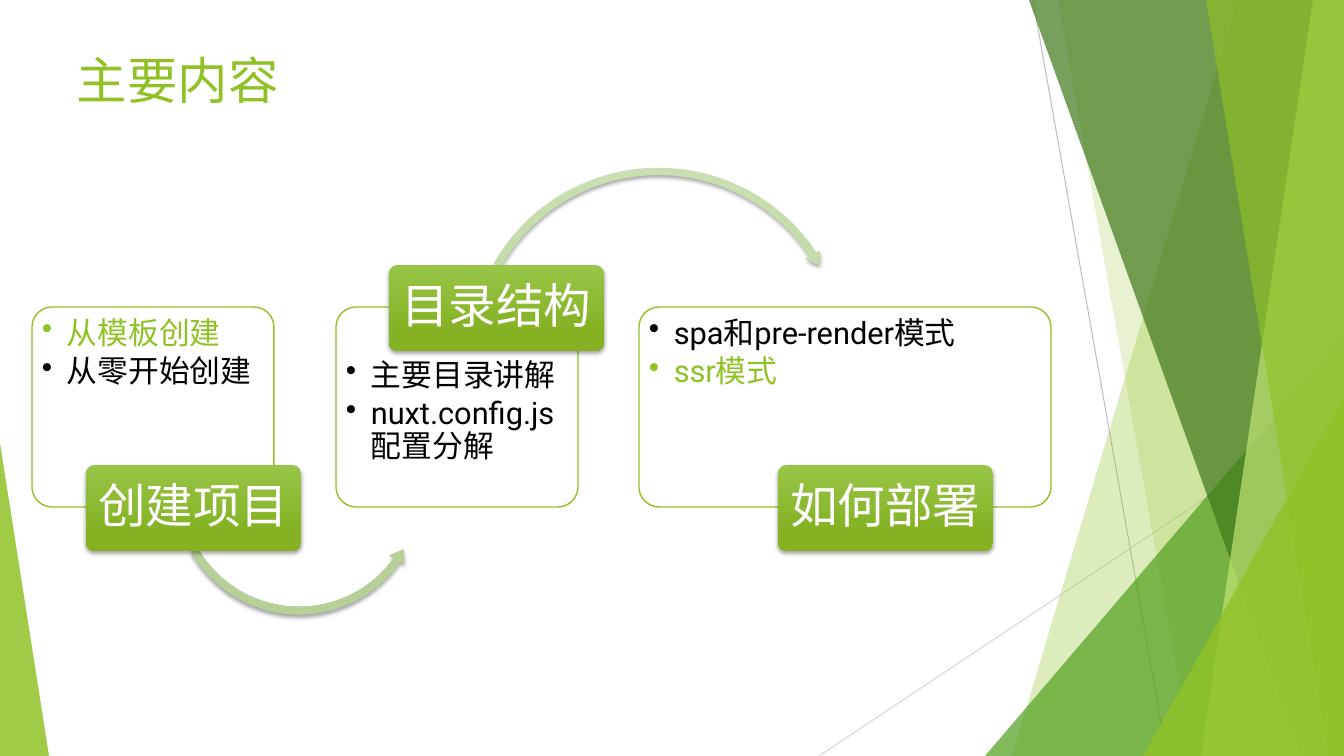
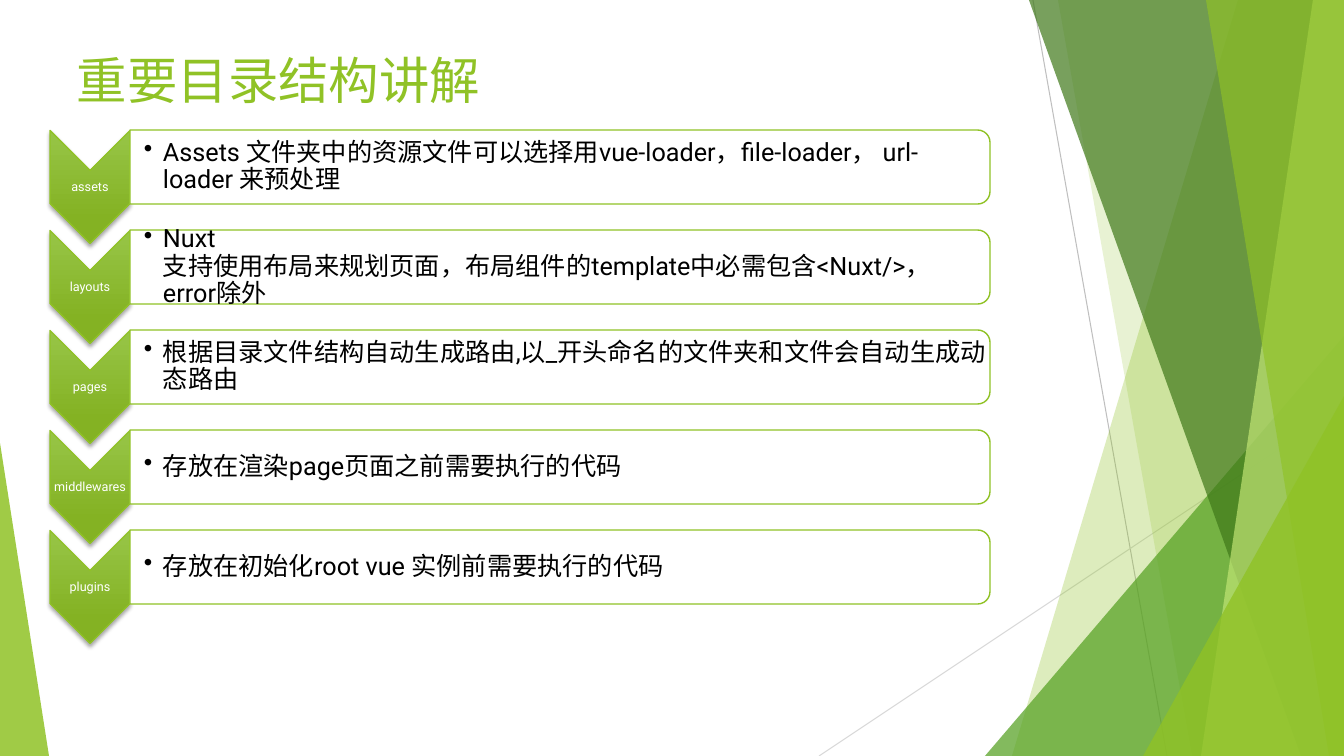
import pptx
import pptx.util
import pptx.dml.color
import pptx.enum.shapes
import pptx.enum.text
import pptx.oxml.ns
from lxml import etree

PX = 914400 / 100.8
WIDTH, HEIGHT = 1344, 756
GREEN, BLACK, WHITE = "90C226", "000000", "FFFFFF"
BUTTON_GRADIENT = ("97C547", "84B223")
ARROW_GRADIENT = ("C9DFB1", "B6D098")
SHAPE = pptx.enum.shapes.MSO_SHAPE
ALIGN = pptx.enum.text.PP_ALIGN
ANCHOR = pptx.enum.text.MSO_ANCHOR
rgb = pptx.dml.color.RGBColor.from_string
qn = pptx.oxml.ns.qn


def paint(shape, fill, line=None, opacity=100, shadow=False):
    """Fill with one hex colour or a (top, bottom) pair, then set line and shadow."""
    properties = shape.element.spPr
    if isinstance(fill, tuple):
        shape.fill.gradient()
        shape.fill.gradient_angle = 270
        for stop, colour, position in zip(shape.fill.gradient_stops, fill, (0, 0.78)):
            stop.color.rgb = rgb(colour)
            stop.position = position
        properties.find(qn("a:gradFill")).set("rotWithShape", "0")
    else:
        shape.fill.solid()
        shape.fill.fore_color.rgb = rgb(fill)
        if opacity < 100:
            colour = properties.find(qn("a:solidFill"))[0]
            etree.SubElement(colour, qn("a:alpha"), val=str(opacity * 1000))
    if line:
        shape.line.color.rgb = rgb(line)
        shape.line.width = pptx.util.Pt(1)
    else:
        shape.line.fill.background()
    shape.shadow.inherit = False
    if shadow:
        outer = etree.SubElement(
            properties.find(qn("a:effectLst")), qn("a:outerShdw"),
            blurRad="38100", dist="25400", dir="5400000", rotWithShape="0")
        colour = etree.SubElement(outer, qn("a:srgbClr"), val=BLACK)
        etree.SubElement(colour, qn("a:alpha"), val="35000")


def write(box, lines, size, insets=(0, 0, 0, 0), bullet=0, font="Roboto",
          wrap=True, align=ALIGN.LEFT, anchor=ANCHOR.MIDDLE, spacing=0.9):
    """Write (text, colour) lines; insets and the bullet indent are in px."""
    frame = box.text_frame
    sides = ("margin_left", "margin_top", "margin_right", "margin_bottom")
    frame_format = {side: round(inset * PX) for side, inset in zip(sides, insets)}
    frame_format |= {"word_wrap": wrap, "vertical_anchor": anchor}
    for name, value in frame_format.items():
        setattr(frame, name, value)
    for index, (text, colour) in enumerate(lines):
        para = frame.add_paragraph() if index else frame.paragraphs[0]
        para_format = {"alignment": align, "line_spacing": spacing}
        if index < len(lines) - 1:
            para_format["space_after"] = pptx.util.Pt(size * 0.16)
        for name, value in para_format.items():
            setattr(para, name, value)
        if bullet:
            indent = round(bullet * PX)
            settings = para._p.get_or_add_pPr()
            settings.set("marL", str(indent))
            settings.set("indent", str(-indent))
            etree.SubElement(settings, qn("a:buChar"), char="•")
        span = para.add_run()
        span.text = text
        for name, value in {"size": pptx.util.Pt(size), "name": font}.items():
            setattr(span.font, name, value)
        span.font.color.rgb = rgb(colour)
        etree.SubElement(span._r.get_or_add_rPr(), qn("a:ea"),
                         typeface="Noto Sans CJK SC")


deck = pptx.Presentation()
deck.slide_width = round(WIDTH * PX)
deck.slide_height = round(HEIGHT * PX)

# Shared background: thin lines, then bands from back to front
thin_lines = [((1033, 0, 1167, HEIGHT), "BFBFBF"), ((WIDTH, 406, 819, HEIGHT), "D9D9D9")]
# A sheet has a top and a bottom x; a triangle has left, top, width and tip position
bands = [
    ("sheet", (1238, 1012), GREEN, 30),
    ("sheet", (1058, 1192), GREEN, 20),
    ("triangle", (985, 336, 359, 1), "54A021", 72),
    ("sheet", (1029, 1301), "3F7819", 70),
    ("sheet", (1313, 1201), "C0E474", 70),
    ("sheet", (1206, 1329), GREEN, 65),
    ("triangle", (1143, 396, 201, 1), GREEN, 80),
    ("triangle", (0, 443, 49, 0), GREEN, 85),
]
pages = []
for title in ("主要内容", "重要目录结构讲解"):
    page = deck.slides.add_slide(deck.slide_layouts[6])
    pages.append(page)
    for ends, colour in thin_lines:
        connector = page.shapes.add_connector(
            pptx.enum.shapes.MSO_CONNECTOR.STRAIGHT, *[round(end * PX) for end in ends])
        connector.line.color.rgb = rgb(colour)
        connector.line.width = pptx.util.Pt(0.75)
        etree.SubElement(connector.element.spPr, qn("a:effectLst"))
    for kind, place, colour, opacity in bands:
        if kind == "sheet":
            top_x, bottom_x = place
            outline = page.shapes.build_freeform(top_x, 0, scale=PX)
            outline.add_line_segments([(WIDTH, 0), (WIDTH, HEIGHT), (bottom_x, HEIGHT)])
            band = outline.convert_to_shape()
        else:
            left, top, width, tip = place
            band = page.shapes.add_shape(
                SHAPE.ISOSCELES_TRIANGLE,
                *[round(n * PX) for n in (left, top, width, HEIGHT - top)])
            band.adjustments[0] = tip
        paint(band, colour, opacity=opacity)
    title_box = page.shapes.add_textbox(*[round(n * PX) for n in (67, 44, 430, 72)])
    write(title_box, [(title, GREEN)], 36, (10, 5, 10, 5), font="Noto Sans CJK SC",
          wrap=False, anchor=ANCHOR.TOP, spacing=1.0)

# Page 1: three steps, each a card, the arrow to the next step and a tab
overview, folders = pages
left_arrow = (SHAPE.LEFT_CIRCULAR_ARROW, (170, 361, 258, 258),
              (0.028, 3.45, 21.205, 90.245, 0.033))
right_arrow = (SHAPE.CIRCULAR_ARROW, (465, 163, 387, 387),
               (0.019, 2.253, 195.992, 125.755, 0.022))
# Card left and width, space above the text, tab left and top, name, lines, arrow
steps = [
    (32, 242, 5, 86, 465, "创建项目",
     [("从模板创建", GREEN), ("从零开始创建", BLACK)], left_arrow),
    (336, 242, 47, 389, 265, "目录结构",
     [("主要目录讲解", BLACK), ("nuxt.config.js 配置分解", BLACK)], right_arrow),
    (639, 412, 5, 778, 465, "如何部署",
     [("spa和pre-render模式", BLACK), ("ssr模式", GREEN)], None),
]
for left, width, inset_top, tab_left, tab_top, name, lines, arrow in steps:
    card = overview.shapes.add_shape(
        SHAPE.ROUNDED_RECTANGLE, *[round(n * PX) for n in (left, 307, width, 200)])
    card.adjustments[0] = 0.1
    paint(card, WHITE, line=GREEN)
    write(card, lines, 22, (4, inset_top, 4, 5), bullet=25, anchor=ANCHOR.TOP)
    if arrow:
        preset, place, adjustments = arrow
        curve = overview.shapes.add_shape(preset, *[round(n * PX) for n in place])
        for index, value in enumerate(adjustments):
            curve.adjustments[index] = value
        paint(curve, ARROW_GRADIENT, shadow=True)
    tab = overview.shapes.add_shape(
        SHAPE.ROUNDED_RECTANGLE, *[round(n * PX) for n in (tab_left, tab_top, 215, 86)])
    tab.adjustments[0] = 0.1
    paint(tab, BUTTON_GRADIENT, shadow=True)
    write(tab, [(name, WHITE)], 34, (7, 5, 7, 5), align=ALIGN.CENTER)

# Page 2: one row per folder, a downward chevron and a bar turned by 90 degrees
rows = [
    ("assets", "Assets 文件夹中的资源文件可以选择用vue-loader，file-loader， url-loader 来预处理"),
    ("layouts", "Nuxt 支持使用布局来规划页面，布局组件的template中必需包含<Nuxt/>， error除外"),
    ("pages", "根据目录文件结构自动生成路由,以_开头命名的文件夹和文件会自动生成动态路由"),
    ("middlewares", "存放在渲染page页面之前需要执行的代码"),
    ("plugins", "存放在初始化root vue 实例前需要执行的代码"),
]
for index, (name, description) in enumerate(rows):
    top = 130 + 100 * index
    turned = [
        (SHAPE.CHEVRON, 90, top + 57, 113, 80, BUTTON_GRADIENT, True),
        (SHAPE.ROUND_2_SAME_RECTANGLE, 560, top + 37, 74, 860, WHITE, False),
    ]
    for preset, centre_x, centre_y, width, height, fill, shadow in turned:
        shape = folders.shapes.add_shape(
            preset, *[round(n * PX) for n in
                      (centre_x - width / 2, centre_y - height / 2, width, height)])
        shape.rotation = 90
        paint(shape, fill, line=GREEN, shadow=shadow)
    label = folders.shapes.add_textbox(
        *[round(n * PX) for n in (50, top + 40, 80, 34)])
    write(label, [(name, WHITE)], 9, (1, 1, 1, 1), align=ALIGN.CENTER)
    text_box = folders.shapes.add_textbox(
        *[round(n * PX) for n in (130, top + 4, 856, 66)])
    write(text_box, [(description, BLACK)], 18, (14, 1, 0, 1), bullet=19)

deck.save("out.pptx")
